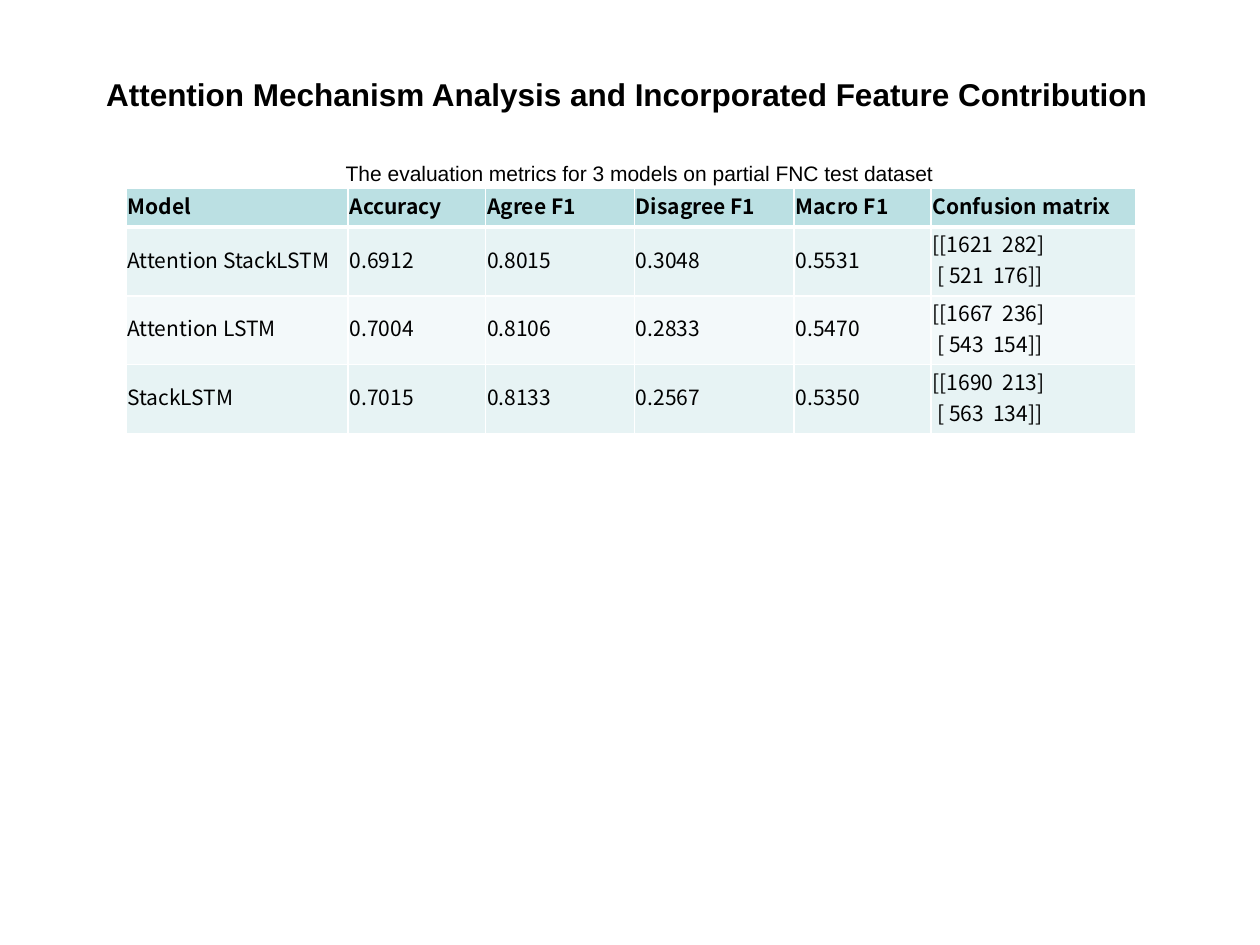
from lxml.etree import SubElement
from pptx import Presentation
from pptx.dml.color import RGBColor
from pptx.enum.text import MSO_ANCHOR as Anchor, MSO_AUTO_SIZE as AutoSize
from pptx.oxml.ns import qn
from pptx.util import Cm, Pt

HEADINGS = ["Model", "Accuracy", "Agree F1", "Disagree F1", "Macro F1", "Confusion matrix"]
RESULTS = [
    ["Attention StackLSTM", "0.6912", "0.8015", "0.3048", "0.5531", "[[1621  282]\n [ 521  176]]"],
    ["Attention LSTM", "0.7004", "0.8106", "0.2833", "0.5470", "[[1667  236]\n [ 543  154]]"],
    ["StackLSTM", "0.7015", "0.8133", "0.2567", "0.5350", "[[1690  213]\n [ 563  134]]"],
]
COLUMN_WIDTHS = [4.48, 2.77, 3, 3.22, 2.76, 4.12]
ROW_HEIGHTS = [0.66, 1.09, 0.89, 0.89]
HEADER_FILL = "BBE0E3"
BAND_FILLS = ["E7F3F4", "F3F9FA"]


def color(value):
    return RGBColor.from_string(value)


def style_text(frame, face, size, bold=False):
    for paragraph in frame.paragraphs:
        font = paragraph.font
        font.name, font.size, font.bold = face, Pt(size), bold
        font.color.rgb = color("000000")


def add_line_of_text(slide, left, top, width, height, words, size, bold=False):
    box = slide.shapes.add_textbox(Cm(left), Cm(top), Cm(width), Cm(height))
    frame = box.text_frame
    frame.word_wrap = True
    frame.auto_size = AutoSize.SHAPE_TO_FIT_TEXT
    frame.text = words
    style_text(frame, "Arial", size, bold)


def add_borders(cell, bottom_width):
    properties = cell._tc.get_or_add_tcPr()
    widths = {"a:lnL": 1, "a:lnR": 1, "a:lnT": 1, "a:lnB": bottom_width}
    for position, (side, width) in enumerate(widths.items()):
        line = SubElement(properties, qn(side), w=str(Pt(width)))
        SubElement(SubElement(line, qn("a:solidFill")), qn("a:srgbClr"), val="FFFFFF")
        properties.insert(position, line)


def fill_cell(cell, words, fill, is_header):
    cell.text = words
    cell.vertical_anchor = Anchor.MIDDLE
    cell.margin_left = cell.margin_right = cell.margin_top = Cm(0.03)
    cell.margin_bottom = Cm(0.13)
    cell.fill.solid()
    cell.fill.fore_color.rgb = color(fill)
    add_borders(cell, 3 if is_header else 1)
    style_text(cell.text_frame, "Noto Sans CJK SC", 12, is_header)


def add_metrics_table(slide, left, top):
    rows = [HEADINGS] + RESULTS
    metrics = slide.shapes.add_table(
        len(rows), len(HEADINGS), Cm(left), Cm(top),
        Cm(sum(COLUMN_WIDTHS)), Cm(sum(ROW_HEIGHTS))).table
    for column, width in zip(metrics.columns, COLUMN_WIDTHS):
        column.width = Cm(width)
    for index, (row, height, entries) in enumerate(zip(metrics.rows, ROW_HEIGHTS, rows)):
        row.height = Cm(height)
        is_header = index == 0
        fill = HEADER_FILL if is_header else BAND_FILLS[(index - 1) % 2]
        for cell, words in zip(row.cells, entries):
            fill_cell(cell, words, fill, is_header)


def main():
    deck = Presentation()
    deck.slide_width, deck.slide_height = Cm(25.4), Cm(19.05)
    slide = deck.slides.add_slide(deck.slide_layouts[6])
    add_metrics_table(slide, 2.54, 3.8)
    add_line_of_text(slide, 6.72, 3.12, 18.36, 0.77,
                     "The evaluation metrics for 3 models on partial FNC test dataset", 12)
    add_line_of_text(slide, 1.89, 1.38, 22.89, 1.02,
                     "Attention Mechanism Analysis and Incorporated Feature Contribution", 18, True)
    deck.save("out.pptx")


if __name__ == "__main__":
    main()
